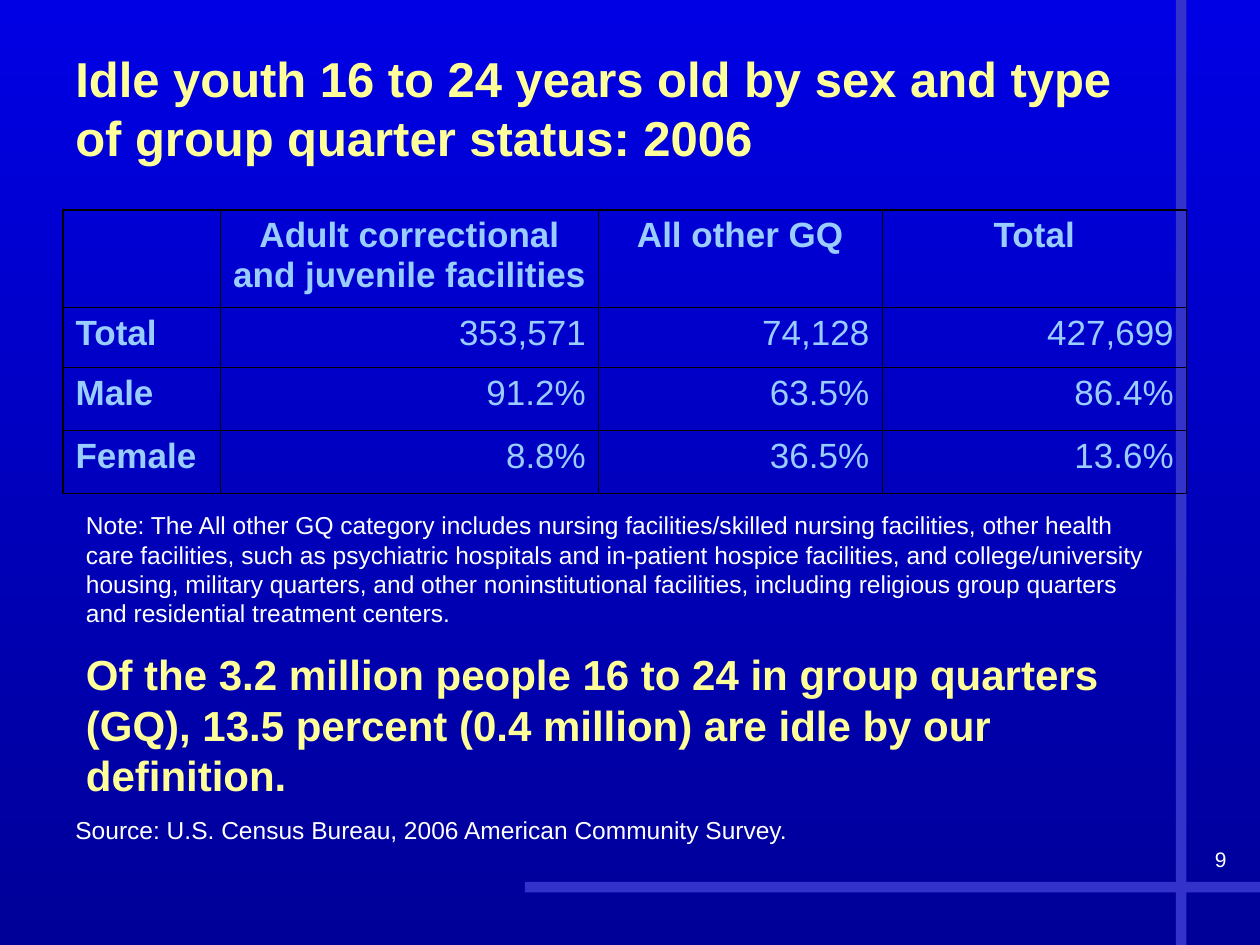
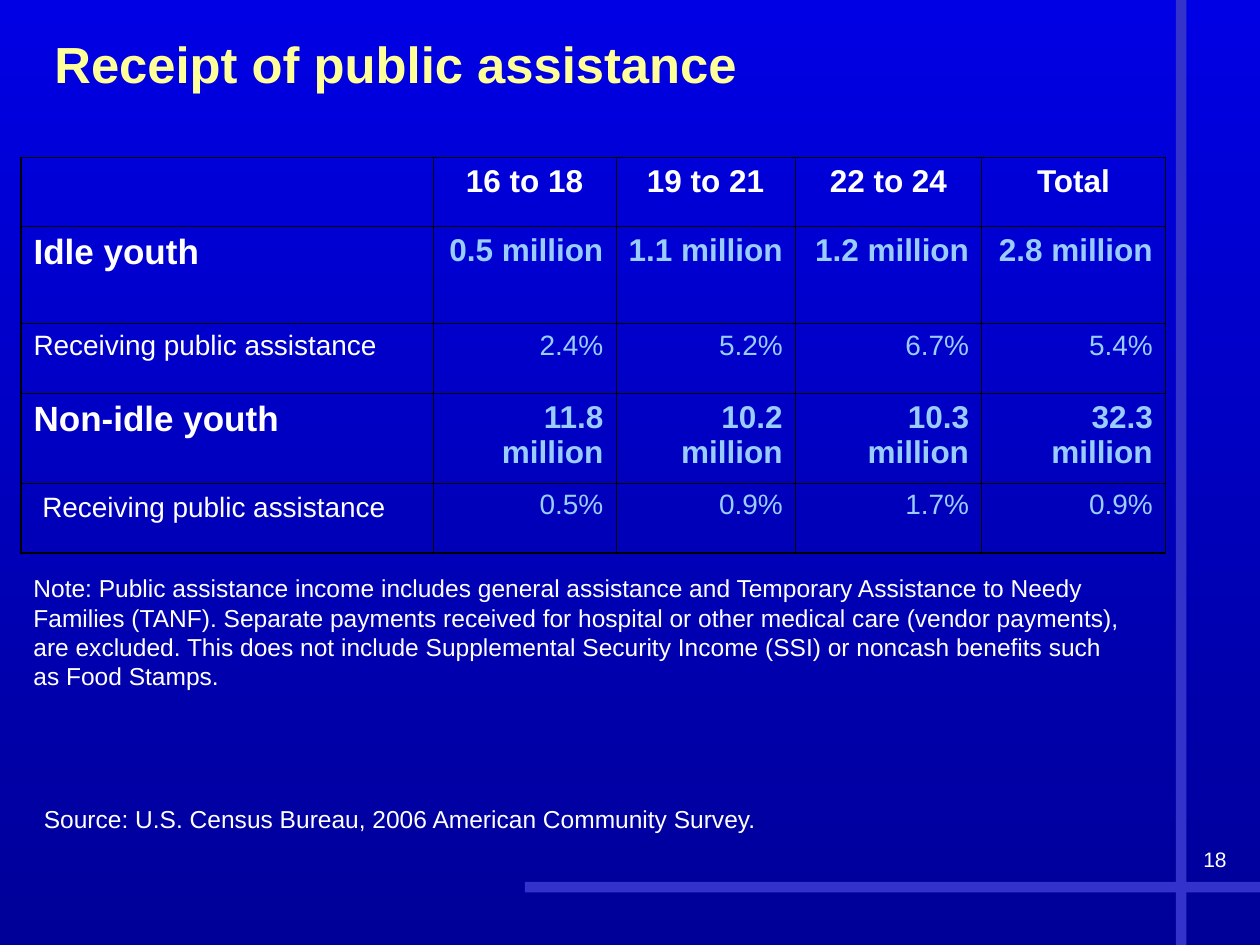
import pptx
import pptx.util
import pptx.dml.color
import pptx.enum.shapes
import pptx.enum.text
import lxml.etree

Pt = pptx.util.Pt
ALIGN = pptx.enum.text.PP_ALIGN
ANCHOR = pptx.enum.text.MSO_ANCHOR
FONT = "Arial"
HUES = {
    "top": "0000E4",
    "base": "000099",
    "bar": "3333CC",
    "title": "FFFF99",
    "cell": "99CCFF",
    "text": "FFFFFF",
    "edge": "000000",
}
SOURCE = "Source: U.S. Census Bureau, 2006 American Community Survey."
THIN, THICK = 0.45, 1.08


def color(name):
    return pptx.dml.color.RGBColor.from_string(HUES[name])


def write(frame, text, size, hue, bold=False, align=ALIGN.LEFT):
    para = frame.paragraphs[0]
    para.alignment = align
    run = para.add_run()
    run.text = text
    run.font.name = FONT
    run.font.size = Pt(size)
    run.font.bold = bold
    run.font.color.rgb = color(hue)


def add_text(slide, box, text, size=14, hue="text", bold=False,
             align=ALIGN.LEFT, anchor=ANCHOR.TOP):
    frame = slide.shapes.add_textbox(*map(Pt, box)).text_frame
    frame.word_wrap = True
    frame.vertical_anchor = anchor
    write(frame, text, size, hue, bold, align)


def add_bar(slide, box):
    kind = pptx.enum.shapes.MSO_SHAPE.RECTANGLE
    bar = slide.shapes.add_shape(kind, *map(Pt, box))
    bar.shadow.inherit = False
    bar.fill.solid()
    bar.fill.fore_color.rgb = color("bar")
    bar.line.fill.background()


def add_slide(deck, number):
    """Start a slide with the shared backdrop, bars and page number."""
    slide = deck.slides.add_slide(deck.slide_layouts[6])
    fill = slide.background.fill
    fill.gradient()
    fill.gradient_angle = 270
    for stop, place, hue in zip(fill.gradient_stops, (0, 1), ("top", "base")):
        stop.position = place
        stop.color.rgb = color(hue)
    add_bar(slide, (300, 504, 420, 6))
    add_bar(slide, (672, 0, 6, 540))
    add_text(slide, (558, 480, 150, 36), str(number), 12, align=ALIGN.RIGHT)
    return slide


def add_edge(cell, side, width):
    ns = "{http://schemas.openxmlformats.org/drawingml/2006/main}"
    props = cell._tc.get_or_add_tcPr()
    line = lxml.etree.SubElement(props, ns + "ln" + side, w=str(Pt(width)))
    fill = lxml.etree.SubElement(line, ns + "solidFill")
    lxml.etree.SubElement(fill, ns + "srgbClr", val=HUES["edge"])


def add_table(slide, left, top, cols, rows, data, style):
    """Draw a grid; style(row, col) gives size, colour and weight."""
    frame = slide.shapes.add_table(len(rows), len(cols), Pt(left), Pt(top),
                                   Pt(sum(cols)), Pt(sum(rows)))
    table = frame.table
    table.first_row = table.horz_banding = False
    for col, width in zip(table.columns, cols):
        col.width = Pt(width)
    for row, height in zip(table.rows, rows):
        row.height = Pt(height)
    for r, line in enumerate(data):
        for c, text in enumerate(line):
            cell = table.cell(r, c)
            outer = {"L": c == 0, "R": c == len(cols) - 1,
                     "T": r == 0, "B": r == len(rows) - 1}
            for side, rim in outer.items():
                add_edge(cell, side, THICK if rim else THIN)
            cell.fill.background()
            if text:
                align = (ALIGN.CENTER if r == 0 else
                         ALIGN.RIGHT if c else ALIGN.LEFT)
                write(cell.text_frame, text, *style(r, c), align)
    return table


def idle_style(row, col):
    return 20, "cell", row == 0 or col == 0


def aid_style(row, col):
    if row == 0:
        return 18, "text", True
    group = row % 2 == 1
    if col == 0:
        return (20 if group else 16), "text", group
    return (18 if group else 16), "cell", group


def idle_slide(deck):
    slide = add_slide(deck, 9)
    data = [
        ["", "Adult correctional and juvenile facilities", "All other GQ",
         "Total"],
        ["Total", "353,571", "74,128", "427,699"],
        ["Male", "91.2%", "63.5%", "86.4%"],
        ["Female", "8.8%", "36.5%", "13.6%"],
    ]
    add_table(slide, 36, 120, [90, 216, 162, 174], [55.5, 34.5, 36, 36],
              data, idle_style)
    add_text(slide, (36, 24, 636, 75),
             "Idle youth 16 to 24 years old by sex and type of group quarter "
             "status: 2006", 28, "title", True)
    add_text(slide, (36, 462, 528, 24.5), SOURCE)
    add_text(slide, (42, 288, 624, 75),
             "Note: The All other GQ category includes nursing "
             "facilities/skilled nursing facilities, other health care "
             "facilities, such as psychiatric hospitals and in-patient "
             "hospice facilities, and college/university housing, military "
             "quarters, and other noninstitutional facilities, including "
             "religious group quarters and residential treatment centers.")
    add_text(slide, (42, 354, 624, 120),
             "Of the 3.2 million people 16 to 24 in group quarters (GQ), "
             "13.5 percent (0.4 million) are idle by our definition.",
             24, "title", True, anchor=ANCHOR.MIDDLE)


def aid_slide(deck):
    slide = add_slide(deck, 18)
    add_text(slide, (24, 0, 612, 72), "Receipt of public assistance",
             29, "title", True, anchor=ANCHOR.MIDDLE)
    aid = "Receiving public assistance"
    data = [
        ["", "16 to 18", "19 to 21", "22 to 24", "Total"],
        ["Idle youth", "0.5 million", "1.1 million", "1.2 million",
         "2.8 million"],
        [aid, "2.4%", "5.2%", "6.7%", "5.4%"],
        ["Non-idle youth", "11.8 million", "10.2 million", "10.3 million",
         "32.3 million"],
        [aid, "0.5%", "0.9%", "1.7%", "0.9%"],
    ]
    table = add_table(slide, 12, 90, [235.5, 104.5, 102.5, 106.5, 105],
                      [39.5, 55.5, 40, 51, 40], data, aid_style)
    # The last label sits slightly inside its cell
    last = table.cell(4, 0)
    last.margin_left, last.margin_top = Pt(12.2), Pt(5.4)
    add_text(slide, (18, 456, 462, 24.5), SOURCE)
    add_text(slide, (12, 324, 636, 75),
             "Note: Public assistance income includes general assistance and "
             "Temporary Assistance to Needy Families (TANF). Separate "
             "payments received for hospital or other medical care (vendor "
             "payments), are excluded. This does not include Supplemental "
             "Security Income (SSI) or noncash benefits such as Food Stamps.")


def main():
    deck = pptx.Presentation()
    deck.slide_width, deck.slide_height = Pt(720), Pt(540)
    idle_slide(deck)
    aid_slide(deck)
    deck.save("out.pptx")


if __name__ == "__main__":
    main()
